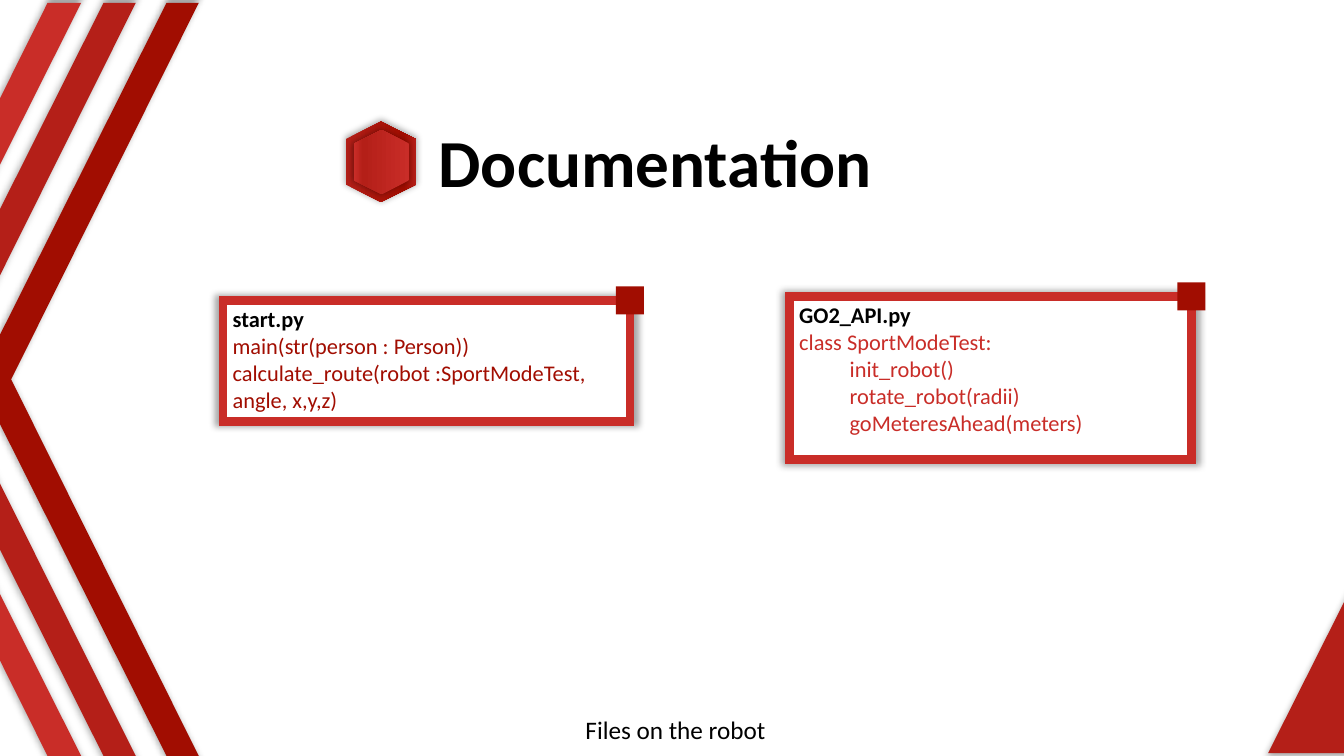
"""Builds the documentation slide listing the files on the robot."""
from copy import deepcopy

from lxml.etree import SubElement
from pptx import Presentation
from pptx.dml.color import RGBColor
from pptx.enum.shapes import MSO_SHAPE
from pptx.enum.text import MSO_ANCHOR, MSO_AUTO_SIZE, PP_ALIGN
from pptx.oxml.ns import qn
from pptx.util import Pt

DARK, MEDIUM, BRIGHT = "A10D01", "B41F18", "C92D28"
BLACK, WHITE = "000000", "FFFFFF"


def colour(code):
    return RGBColor.from_string(code)


class RobotSlide:
    font_name = "Calibri"
    border = 6
    marker_side = 20

    def __init__(self, slide):
        self.shapes = slide.shapes

    def finish(self, shape, fill=None, shadow=True):
        shape.line.fill.background()
        if fill:
            shape.fill.solid()
            shape.fill.fore_color.rgb = colour(fill)
        shape.shadow.inherit = False
        if shadow:
            effects = shape._element.spPr.find(qn("a:effectLst"))
            glow = SubElement(effects, qn("a:outerShdw"), blurRad="63500",
                              sx="102000", sy="102000", algn="ctr", rotWithShape="0")
            shade = SubElement(glow, qn("a:srgbClr"), val=BLACK)
            SubElement(shade, qn("a:alpha"), val="35000")

    def preset(self, kind, frame, fill=None, shadow=True):
        shape = self.shapes.add_shape(kind, *map(Pt, frame))
        self.finish(shape, fill, shadow)
        return shape

    def style(self, paragraph, size, code, bold=False):
        for run in paragraph.runs:
            run.font.name = self.font_name
            run.font.size = Pt(size)
            run.font.bold = bold
            run.font.color.rgb = colour(code)

    def chevron(self, right, fill):
        top, middle, bottom = 2.2, 270.9, 540
        corners = [(right, top), (right - 134.6, middle), (right, bottom),
                   (right - 23.5, bottom), (right - 157.9, middle)]
        outline = self.shapes.build_freeform(right - 23.5, top, scale=float(Pt(1)))
        outline.add_line_segments(corners, close=True)
        self.finish(outline.convert_to_shape(), fill)

    def hexagon(self, frame, rotation, edge, core):
        badge = self.preset(MSO_SHAPE.HEXAGON, frame)
        badge.rotation = rotation
        badge.fill.gradient()
        badge.fill.gradient_angle = 270
        stops = next(badge._element.spPr.iter(qn("a:gsLst")))
        stops.append(deepcopy(stops[0]))
        for stop, position, code in zip(badge.fill.gradient_stops,
                                        (0, 0.83, 1), (edge, core, edge)):
            stop.position = position
            stop.color.rgb = colour(code)

    def label(self, frame, text, size, bold=False, align=PP_ALIGN.LEFT):
        caption = self.shapes.add_textbox(*map(Pt, frame)).text_frame
        caption.word_wrap = False
        caption.auto_size = MSO_AUTO_SIZE.SHAPE_TO_FIT_TEXT
        caption.text = text
        caption.paragraphs[0].alignment = align
        self.style(caption.paragraphs[0], size, BLACK, bold)

    def file_card(self, frame, filename, code_lines, ink, methods=()):
        left, top, width, height = frame
        card = self.preset(MSO_SHAPE.ROUNDED_RECTANGLE, frame, WHITE)
        card.adjustments[0] = 0
        card.line.color.rgb = colour(BRIGHT)
        card.line.width = Pt(self.border)
        SubElement(card.line._ln, qn("a:miter"), lim="800000")
        body = card.text_frame
        body.word_wrap = True
        body.vertical_anchor = MSO_ANCHOR.TOP
        body.text = "\n".join([filename, *code_lines, *methods])
        for row, paragraph in enumerate(body.paragraphs):
            paragraph.alignment = PP_ALIGN.LEFT
            if row > len(code_lines):
                paragraph.level = 1
                properties = paragraph._p.get_or_add_pPr()
                properties.set("marL", str(Pt(36)))
                properties.set("indent", "0")
            self.style(paragraph, 16, ink if row else BLACK, bold=row == 0)
        side = self.marker_side
        marker = (left + width - side / 2, top - side / 2, side, side)
        self.preset(MSO_SHAPE.RECTANGLE, marker, DARK, shadow=False)


def main():
    deck = Presentation()
    deck.slide_width, deck.slide_height = Pt(960), Pt(540)
    page = RobotSlide(deck.slides.add_slide(deck.slide_layouts[6]))

    page.label((304.6, 82.1, 326.9, 65.5), "Documentation", 48,
               bold=True, align=PP_ALIGN.CENTER)
    page.hexagon((243.3, 90.7, 57.6, 49.7), 270, MEDIUM, DARK)
    page.hexagon((249.5, 95.8, 46, 39.6), 90, BRIGHT, MEDIUM)

    corner = page.preset(MSO_SHAPE.ISOSCELES_TRIANGLE,
                         (905.8, 301.7, 118.8, 236.2), MEDIUM)
    corner.adjustments[0] = 1
    for right, fill in ((97.2, MEDIUM), (57.8, BRIGHT), (142.4, DARK)):
        page.chevron(right, fill)

    page.file_card((563.8, 211.7, 287.3, 116.6), "GO2_API.py",
                   ["class SportModeTest:"], BRIGHT,
                   ["init_robot()", "rotate_robot(radii)", "goMeteresAhead(meters)"])
    page.file_card((159.1, 214.6, 290.9, 86.4), "start.py",
                   ["main(str(person : Person))",
                    "calculate_route(robot :SportModeTest, angle, x,y,z)"], DARK)
    page.label((411.1, 506.9, 144.7, 28.8), "Files on the robot", 18)

    deck.save("out.pptx")


if __name__ == "__main__":
    main()
